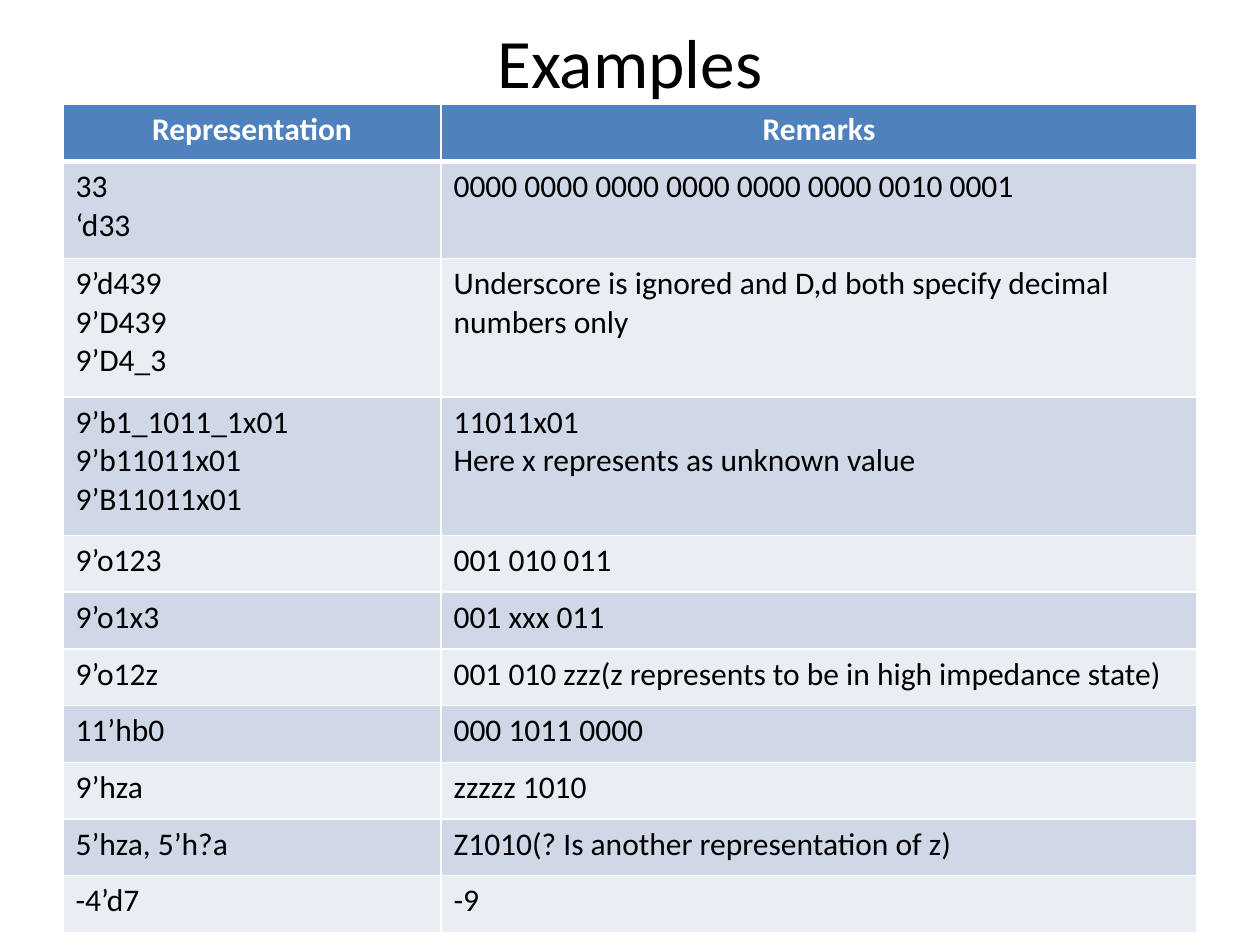
"""Builds a slide with a table of number literal examples."""
from lxml import etree
from pptx import Presentation
from pptx.dml.color import RGBColor
from pptx.enum.text import MSO_ANCHOR, PP_ALIGN
from pptx.oxml.ns import qn
from pptx.util import Inches, Pt

MID, TOP = MSO_ANCHOR.MIDDLE, MSO_ANCHOR.TOP
LEFT, CENTER = PP_ALIGN.LEFT, PP_ALIGN.CENTER
WIDE, HIGH = Inches(10), Inches(7.5)
FONT = "Calibri"
COLORS = {"head": "4F81BD", "odd": "D0D8E8", "even": "E9EDF4",
          "white": "FFFFFF", "black": "000000"}
COLS = (0.3, 0.6)
EDGE = 0.05
HEIGHTS = {1: 0.45, 2: 0.77, 3: 1.1}
ROWS = [
    (["Representation"], ["Remarks"]),
    (["33", "‘d33"], ["0000 0000 0000 0000 0000 0000 0010 0001"]),
    (["9’d439", "9’D439", "9’D4_3"],
     ["Underscore is ignored and D,d both specify decimal numbers only"]),
    (["9’b1_1011_1x01", "9’b11011x01", "9’B11011x01"],
     ["11011x01", "Here x represents as unknown value"]),
    (["9’o123"], ["001 010 011"]),
    (["9’o1x3"], ["001 xxx 011"]),
    (["9’o12z"], ["001 010 zzz(z represents to be in high impedance state)"]),
    (["11’hb0"], ["000 1011 0000"]),
    (["9’hza"], ["zzzzz 1010"]),
    (["5’hza, 5’h?a"], ["Z1010(? Is another representation of z)"]),
    (["-4’d7"], ["-9"]),
]


def write(frame, lines, size, color, align=LEFT, bold=False):
    """Write each line as a paragraph with one run."""
    for i, line in enumerate(lines):
        para = frame.add_paragraph() if i else frame.paragraphs[0]
        para.alignment = align
        run = para.add_run()
        run.text = line
        font = run.font
        font.name, font.size, font.bold = FONT, Pt(size), bold
        font.color.rgb = RGBColor.from_string(COLORS[color])


def rule(cell, widths):
    """Draw white borders around a cell, with widths in points by side."""
    props = cell._tc.get_or_add_tcPr()
    for i, (side, width) in enumerate(widths.items()):
        line = etree.Element(qn("a:ln" + side), w=str(Pt(width)))
        fill = etree.SubElement(line, qn("a:solidFill"))
        etree.SubElement(fill, qn("a:srgbClr"), val=COLORS["white"])
        props.insert(i, line)


def add_title(slide, text):
    """Add the centred title."""
    box = slide.shapes.add_textbox(int(WIDE * EDGE), Inches(0.17),
                                   int(WIDE * sum(COLS)), Inches(0.62))
    frame = box.text_frame
    frame.word_wrap = True
    frame.vertical_anchor = MID
    write(frame, [text], 39.6, "black", CENTER)


def add_grid(slide):
    """Add the banded table, with row heights set by line count."""
    highs = [Inches(HEIGHTS[len(row[0])]) for row in ROWS]
    table = slide.shapes.add_table(
        len(ROWS), len(COLS), int(WIDE * EDGE), Inches(0.83),
        int(WIDE * sum(COLS)), sum(highs)).table
    for col, share in zip(table.columns, COLS):
        col.width = int(WIDE * share)
    for r, row in enumerate(ROWS):
        table.rows[r].height = highs[r]
        head = r == 0
        band = "head" if head else ("even", "odd")[r % 2]
        sides = {"L": 1, "R": 1, "T": 3 if r == 1 else 1, "B": 3 if head else 1}
        for c, lines in enumerate(row):
            cell = table.cell(r, c)
            cell.vertical_anchor = TOP
            cell.fill.solid()
            cell.fill.fore_color.rgb = RGBColor.from_string(COLORS[band])
            rule(cell, sides)
            write(cell.text_frame, lines, 18, "white" if head else "black",
                  CENTER if head else LEFT, head)


def main():
    """Build and save the slide."""
    deck = Presentation()
    deck.slide_width, deck.slide_height = WIDE, HIGH
    slide = deck.slides.add_slide(deck.slide_layouts[6])
    add_title(slide, "Examples")
    add_grid(slide)
    deck.save("out.pptx")


main()
